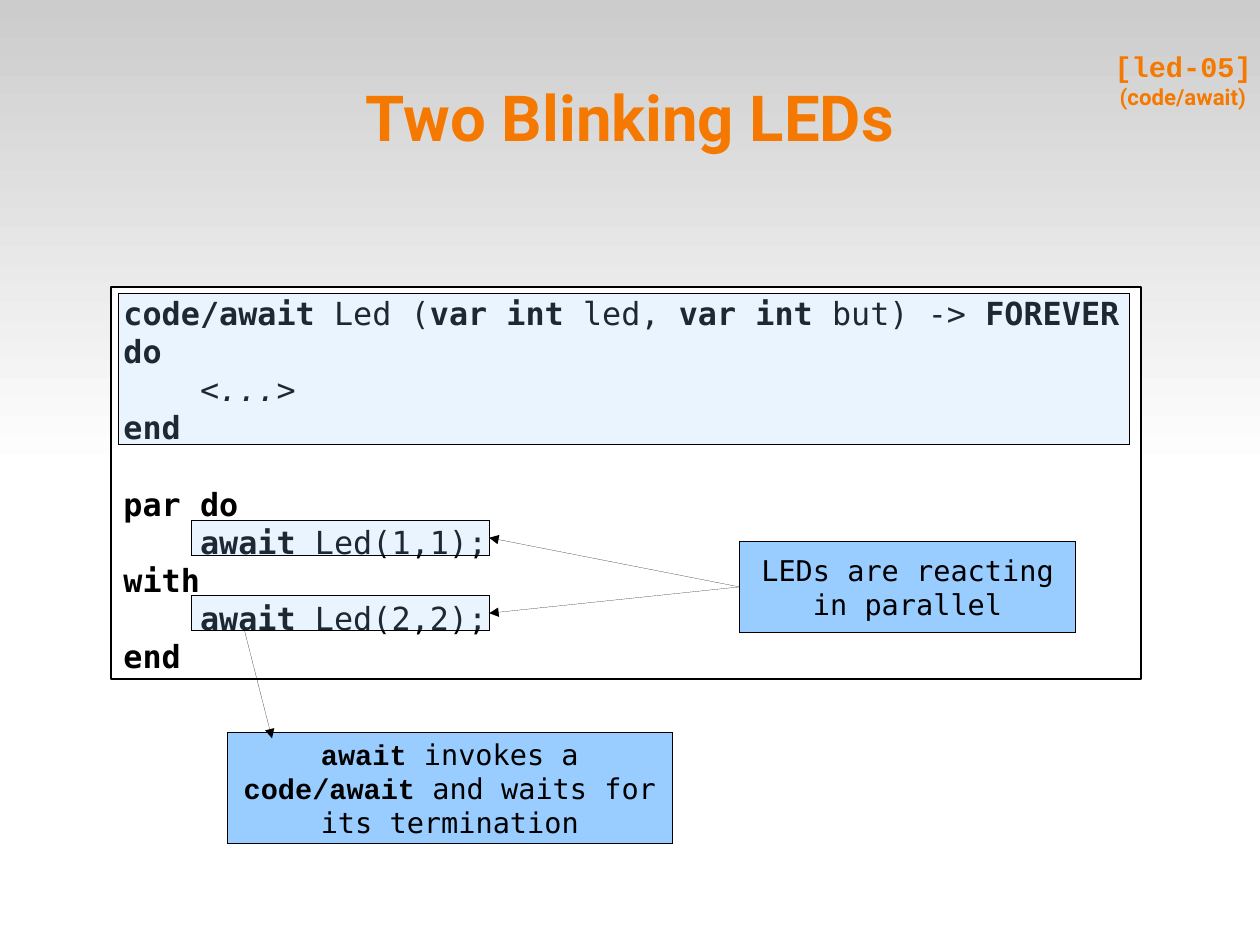
from lxml.etree import SubElement
from pptx import Presentation
from pptx.dml.color import RGBColor
from pptx.enum.shapes import MSO_CONNECTOR, MSO_SHAPE
from pptx.enum.text import MSO_ANCHOR, PP_ALIGN
from pptx.oxml.ns import qn
from pptx.util import Cm, Inches, Pt

SLIDE_W, SLIDE_H = Cm(28), Cm(21)
WIDTH, HEIGHT = SLIDE_W.inches, SLIDE_H.inches
MONO, COURIER, SANS = "DejaVu Sans Mono", "Courier New", "Roboto"
BLACK, ORANGE, BLUE = "000000", "F57900", "99CCFF"
HAIRLINE = 0.01
ROW = 0.33  # height of one code line
CODE = [
    "**code/await** Led (**var int** led,** var int** but) -> **FOREVER**",
    "**do**",
    "    <...>",
    "**end**",
    "**par do**",
    "**    await **Led(1,1);",
    "**with**",
    "**    await **Led(2,2);",
    "**end**",
]


def rgb(color):
    return RGBColor.from_string(color)


def setup_text(tf, margins=(0, 0), anchor=MSO_ANCHOR.MIDDLE):
    tf.word_wrap = True
    tf.vertical_anchor = anchor
    tf.margin_left = tf.margin_right = Inches(margins[0])
    tf.margin_top = tf.margin_bottom = Inches(margins[1])


def format_font(font, size, name, color, bold):
    font.size, font.name, font.bold = Pt(size), name, bold
    font.color.rgb = rgb(color)


def write_lines(tf, lines, size, align, bold_font=MONO):
    """Write one paragraph per line; parts between ** are bold."""
    for i, line in enumerate(lines):
        p = tf.paragraphs[0] if i == 0 else tf.add_paragraph()
        p.alignment = align
        for j, part in enumerate(line.split("**")):
            if part:
                r = p.add_run()
                r.text = part
                bold = j % 2 == 1
                format_font(r.font, size, bold_font if bold else MONO, BLACK, bold)


def add_box(s, left, top, width, height, fill=BLUE, line=HAIRLINE, alpha=None):
    sp = s.shapes.add_shape(MSO_SHAPE.RECTANGLE, Inches(left), Inches(top),
                            Inches(width), Inches(height))
    sp.shadow.inherit = False
    sp.fill.solid()
    sp.fill.fore_color.rgb = rgb(fill)
    sp.line.color.rgb = rgb(BLACK)
    sp.line.width = Pt(line)
    if alpha:
        color = sp.element.spPr.find(qn("a:solidFill"))[0]
        SubElement(color, qn("a:alpha")).set("val", str(alpha * 1000))
    return sp


def add_arrow(s, x1=0, y1=0, x2=0, y2=0):
    c = s.shapes.add_connector(MSO_CONNECTOR.STRAIGHT, Inches(x1), Inches(y1),
                               Inches(x2), Inches(y2))
    c.line.color.rgb = rgb(BLACK)
    c.line.width = Pt(HAIRLINE)
    ln = c.element.spPr.find(qn("a:ln"))
    SubElement(ln, qn("a:tailEnd")).set("type", "triangle")
    SubElement(c.element.spPr, qn("a:effectLst"))
    return c


def add_backdrop(s):
    """Fade the upper half of the slide from grey to white."""
    sp = add_box(s, 0, 0, WIDTH, HEIGHT / 2)
    sp.line.fill.background()
    sp.fill.gradient()
    sp.fill.gradient_angle = 270
    for stop, color in zip(sp.fill.gradient_stops, ("CCCCCC", "FFFFFF")):
        stop.color.rgb = rgb(color)
    s.shapes._spTree.insert(2, sp.element)


def add_heading(s, left, top, width, height):
    title = s.shapes.title
    title.left, title.top = Inches(left), Inches(top)
    title.width, title.height = Inches(width), Inches(height)
    tf = title.text_frame
    tf.text = "Two Blinking LEDs"
    setup_text(tf)
    p = tf.paragraphs[0]
    p.alignment = PP_ALIGN.CENTER
    format_font(p.runs[0].font, 40, SANS, ORANGE, True)


def add_tag(s, left, top, width, height):
    """Name the example in the top right corner."""
    box = s.shapes.add_textbox(Inches(left), Inches(top), Inches(width), Inches(height))
    tf = box.text_frame
    setup_text(tf)
    p = tf.paragraphs[0]
    p.text = "[led-05]\n(code/await) "
    p.alignment = PP_ALIGN.RIGHT
    for r, size, name in zip(p.runs, (18, 14), (COURIER, SANS)):
        format_font(r.font, size, name, ORANGE, True)


def add_code_panel(s, left, top, width, height):
    """Draw the listing and return the two highlighted calls."""
    tf = add_box(s, left, top, width, height, "FFFFFF", 1.45).text_frame
    setup_text(tf, (0.11, 0.06), MSO_ANCHOR.TOP)
    write_lines(tf, CODE, 20, PP_ALIGN.LEFT)
    tf.paragraphs[2].runs[0].font.italic = True
    tf.paragraphs[4].space_before = Pt(24)
    first = top + 0.06
    add_box(s, left + 0.07, first, width - 0.17, 4 * ROW, alpha=20)
    return [add_box(s, left + 0.71, first + row * ROW, 2.6, 0.31, alpha=20)
            for row in (6, 8)]


def add_callout(s, left, top, width, height, lines):
    sp = add_box(s, left, top, width, height)
    setup_text(sp.text_frame)
    write_lines(sp.text_frame, lines, 18, PP_ALIGN.CENTER, COURIER)
    return sp


def main():
    prs = Presentation()
    prs.slide_width, prs.slide_height = SLIDE_W, SLIDE_H
    s = prs.slides.add_slide(prs.slide_layouts[5])
    add_backdrop(s)
    add_heading(s, 0.55, 0.33, 0.9 * WIDTH, HEIGHT / 6)
    add_tag(s, 1.03, 0.01, 0.9 * WIDTH, HEIGHT / 6)
    calls = add_code_panel(s, 0.97, 2.51, 9.01, 3.43)
    add_callout(s, 1.99, 6.41, 3.89, 0.97,
                ["**await** invokes a **code/await **and waits for its termination"])
    parallel = add_callout(s, 6.47, 4.74, 2.94, 0.79,
                           ["LEDs are reacting", "in parallel"])
    for call in calls:
        arrow = add_arrow(s)
        arrow.begin_connect(parallel, 1)
        arrow.end_connect(call, 3)
    add_arrow(s, 2.14, 5.52, 2.38, 6.46)
    prs.save("out.pptx")


if __name__ == "__main__":
    main()
